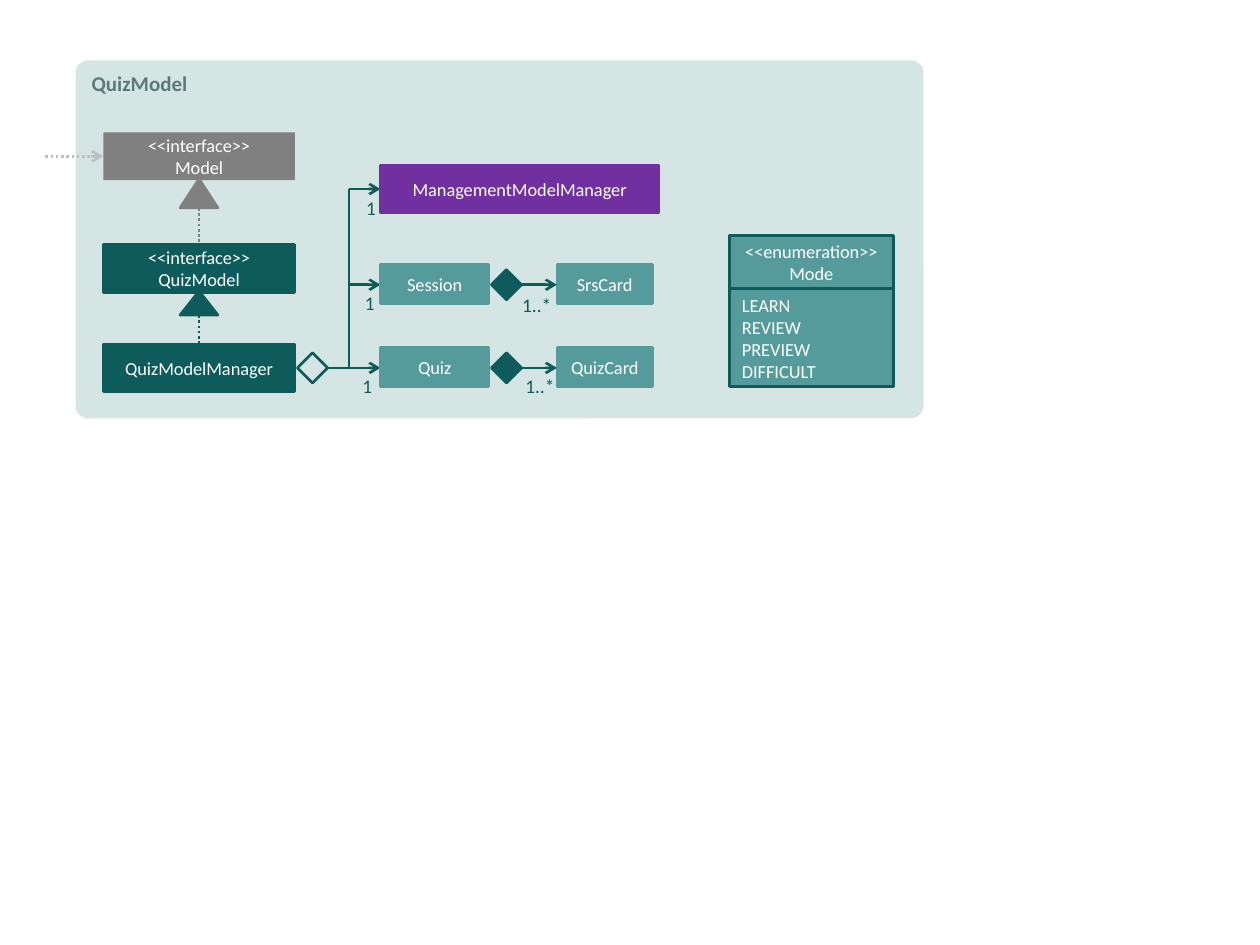
from lxml.etree import SubElement
from pptx import Presentation
from pptx.dml.color import RGBColor
from pptx.enum.dml import MSO_LINE
from pptx.enum.shapes import MSO_CONNECTOR, MSO_SHAPE
from pptx.enum.text import MSO_ANCHOR, PP_ALIGN
from pptx.oxml.ns import qn
from pptx.util import Inches, Pt

FONT = "Calibri"
DARK, TEAL, PANEL, TITLE = "0E5B5B", "559B9B", "D4E5E4", "597B78"
GRAY, LIGHT_GRAY, PURPLE, WHITE = "808080", "BFBFBF", "7030A0", "FFFFFF"

# Columns (left edges) and rows (centre lines) of the diagram, in inches
INTERFACE_X, MEMBER_X, CARD_X, ENUM_X = 0.82, 3.02, 4.42, 5.79
TRUNK_X, AXIS_X = 2.77, 1.58
MANAGEMENT_Y, SESSION_Y, QUIZ_Y = 1.5, 2.26, 2.92
MODEL_Y, QUIZ_MODEL_Y = 1.24, 2.13
CLASS_WIDTH, CLASS_HEIGHT = 1.52, 0.38
MEMBER_WIDTH, CARD_WIDTH, MEMBER_HEIGHT = 0.86, 0.76, 0.31
ENUM_WIDTH, DIAMOND = 1.3, 0.24


def color(hex_value):
    return RGBColor.from_string(hex_value)


def write_text(shape, text, size=10.5, fill=WHITE, bold=False,
               align=PP_ALIGN.CENTER, anchor=MSO_ANCHOR.MIDDLE, inset=0.05):
    """Newlines part paragraphs; vertical tabs are line breaks."""
    frame = shape.text_frame
    frame.word_wrap = True
    frame.vertical_anchor = anchor
    frame.margin_left = frame.margin_right = Inches(inset)
    frame.margin_top = frame.margin_bottom = Inches(min(inset, 0.05))
    frame.text = text
    for paragraph in frame.paragraphs:
        paragraph.alignment = align
        for run in paragraph.runs:
            run.font.name = FONT
            run.font.size = Pt(size)
            run.font.bold = bold
            run.font.color.rgb = color(fill)


def add_block(slide, kind, left, top, width, height, fill=None, line=None):
    shape = slide.shapes.add_shape(
        kind, Inches(left), Inches(top), Inches(width), Inches(height))
    shape.shadow.inherit = False
    if fill:
        shape.fill.solid()
        shape.fill.fore_color.rgb = color(fill)
    else:
        shape.fill.background()
    if line:
        shape.line.color.rgb = color(line)
        shape.line.width = Pt(1.5)
    else:
        shape.line.fill.background()
    return shape


def add_class(slide, text, left, middle, width, height, fill, line=None, **text_format):
    box = add_block(slide, MSO_SHAPE.RECTANGLE, left, middle - height / 2,
                    width, height, fill, line)
    write_text(box, text, **text_format)


def add_diamond(slide, left, middle, fill=None):
    add_block(slide, MSO_SHAPE.FLOWCHART_DECISION, left, middle - DIAMOND / 2,
              DIAMOND, DIAMOND, fill, DARK)


def add_line(slide, start, end, stroke=DARK, dotted=False, arrow=False,
             kind=MSO_CONNECTOR.STRAIGHT):
    connector = slide.shapes.add_connector(
        kind, *(Inches(value) for value in (*start, *end)))
    connector.line.color.rgb = color(stroke)
    connector.line.width = Pt(1.5)
    if dotted:
        connector.line.dash_style = MSO_LINE.ROUND_DOT
    properties = connector._element.spPr
    if arrow:
        SubElement(properties.find(qn("a:ln")), qn("a:tailEnd"), type="arrow")
    SubElement(properties, qn("a:effectLst"))


def add_inheritance(slide, top, bottom, triangle_height, stroke):
    add_block(slide, MSO_SHAPE.ISOSCELES_TRIANGLE, AXIS_X - 0.15, top,
              0.3, triangle_height, stroke, stroke)
    add_line(slide, (AXIS_X, top + triangle_height), (AXIS_X, bottom), stroke, dotted=True)


def add_multiplicity(slide, text, left, top, width):
    box = slide.shapes.add_textbox(Inches(left), Inches(top), Inches(width), Inches(0.2))
    write_text(box, text, size=11, fill=DARK, anchor=MSO_ANCHOR.TOP, inset=0)


def add_composition(slide, owner, part, middle):
    """A member class that owns many cards."""
    top_shape = middle - 0.005
    add_class(slide, owner, MEMBER_X, top_shape, MEMBER_WIDTH, MEMBER_HEIGHT, TEAL, TEAL)
    add_class(slide, part, CARD_X, top_shape, CARD_WIDTH, MEMBER_HEIGHT, TEAL, TEAL)
    diamond_x = MEMBER_X + MEMBER_WIDTH + 0.02
    add_diamond(slide, diamond_x, middle, DARK)
    add_line(slide, (diamond_x + DIAMOND, middle), (CARD_X, middle), arrow=True)


def main():
    presentation = Presentation()
    presentation.slide_width, presentation.slide_height = Inches(10), Inches(7.5)
    slide = presentation.slides.add_slide(presentation.slide_layouts[6])

    # Package panel
    panel = add_block(slide, MSO_SHAPE.ROUNDED_RECTANGLE, 0.6, 0.48, 6.73, 2.84, PANEL)
    panel.adjustments[0] = 0.035
    write_text(panel, "QuizModel", size=12, fill=TITLE, bold=True,
               align=PP_ALIGN.LEFT, anchor=MSO_ANCHOR.TOP, inset=0.1)

    # Inheritance column
    add_line(slide, (0.36, MODEL_Y), (INTERFACE_X, MODEL_Y), LIGHT_GRAY,
             dotted=True, arrow=True, kind=MSO_CONNECTOR.ELBOW)
    add_inheritance(slide, 1.42, 1.93, 0.23, GRAY)
    add_inheritance(slide, 2.31, 2.73, 0.19, DARK)
    for text, middle, fill, line in (
            ("<<interface>>\nModel", MODEL_Y, GRAY, None),
            ("<<interface>>\nQuizModel", QUIZ_MODEL_Y, DARK, DARK),
            ("QuizModelManager", QUIZ_Y, DARK, DARK)):
        add_class(slide, text, INTERFACE_X, middle, CLASS_WIDTH, CLASS_HEIGHT, fill, line)

    # Trunk from the manager, with a branch to each member
    manager_diamond_x = 2.36
    add_diamond(slide, manager_diamond_x, QUIZ_Y)
    add_line(slide, (manager_diamond_x + DIAMOND, QUIZ_Y), (MEMBER_X, QUIZ_Y), arrow=True)
    add_line(slide, (TRUNK_X, QUIZ_Y), (TRUNK_X, MANAGEMENT_Y))
    for middle in (MANAGEMENT_Y, SESSION_Y):
        add_line(slide, (TRUNK_X, middle), (MEMBER_X, middle), arrow=True)

    # Members and the cards they own
    add_class(slide, "ManagementModelManager", MEMBER_X, MANAGEMENT_Y,
              2.21, CLASS_HEIGHT, PURPLE, PURPLE)
    add_composition(slide, "Session", "SrsCard", SESSION_Y)
    add_composition(slide, "Quiz", "QuizCard", QUIZ_Y)

    # Multiplicities
    for text, left, top, width in (
            ("1", 2.84, 1.56, 0.21), ("1", 2.83, 2.31, 0.21), ("1", 2.81, 2.97, 0.21),
            ("1..*", 4.1, 2.33, 0.32), ("1..*", 4.15, 2.97, 0.27)):
        add_multiplicity(slide, text, left, top, width)

    # Enumeration
    add_class(slide, "<<enumeration>>\vMode", ENUM_X, 2.08, ENUM_WIDTH, 0.42, TEAL, DARK)
    add_class(slide, "LEARN\nREVIEW\nPREVIEW\vDIFFICULT", ENUM_X, 2.68, ENUM_WIDTH, 0.78,
              TEAL, DARK, align=PP_ALIGN.LEFT, inset=0.1)

    presentation.save("out.pptx")


if __name__ == "__main__":
    main()
